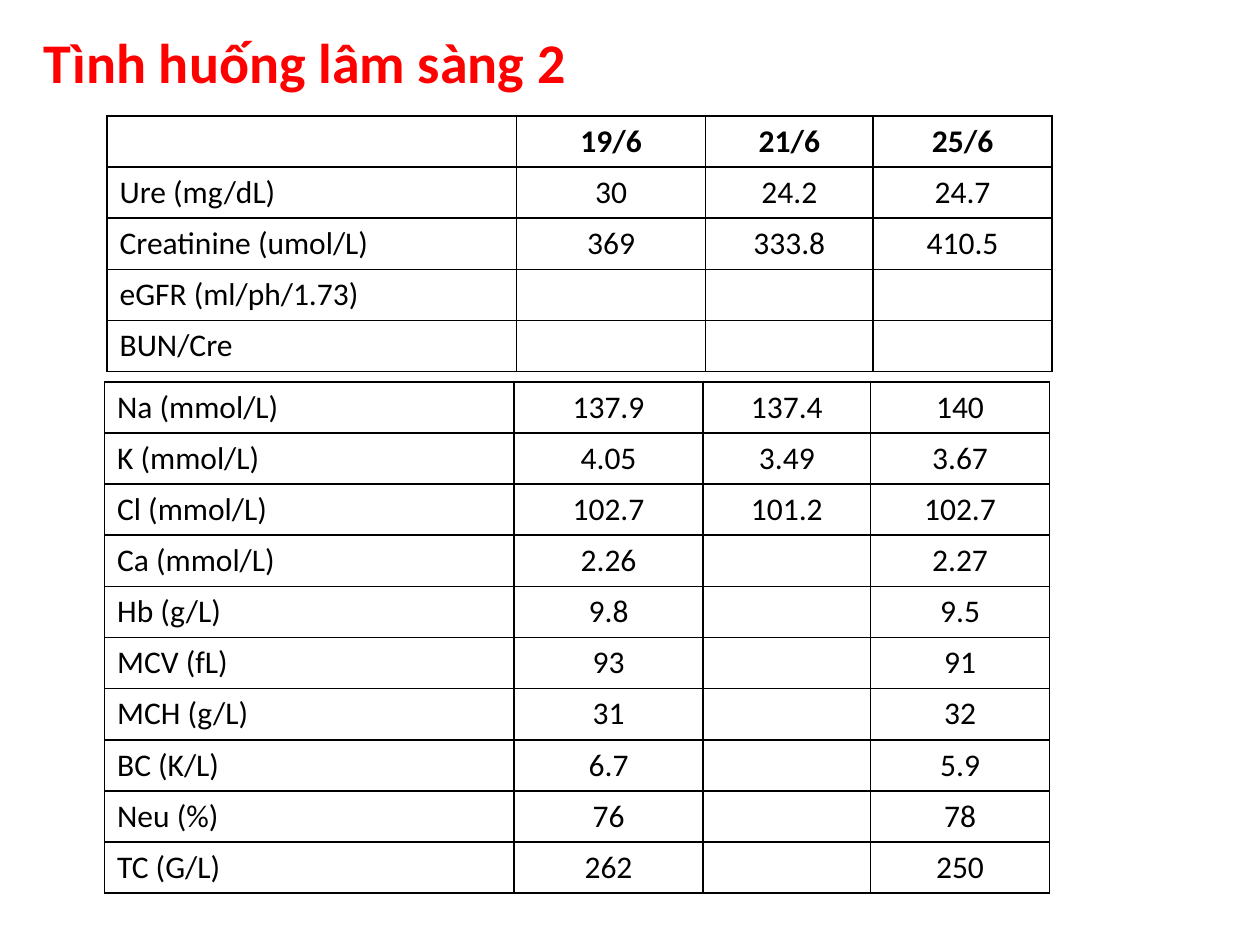
from lxml import etree
from pptx import Presentation, util as u
from pptx.dml.color import RGBColor
from pptx.enum import text
from pptx.oxml.ns import qn

COLORS = {"title": "FF0000", "ink": "000000", "border": "000000"}
TITLE = "Tình huống lâm sàng 2"
KIDNEY = [
    ("", "19/6", "21/6", "25/6"),
    ("Ure (mg/dL)", "30", "24.2", "24.7"),
    ("Creatinine (umol/L)", "369", "333.8", "410.5"),
    ("eGFR (ml/ph/1.73)", "", "", ""),
    ("BUN/Cre", "", "", ""),
]
BLOOD = [
    ("Na (mmol/L)", "137.9", "137.4", "140"),
    ("K (mmol/L)", "4.05", "3.49", "3.67"),
    ("Cl (mmol/L)", "102.7", "101.2", "102.7"),
    ("Ca (mmol/L)", "2.26", "", "2.27"),
    ("Hb (g/L)", "9.8", "", "9.5"),
    ("MCV (fL)", "93", "", "91"),
    ("MCH (g/L)", "31", "", "32"),
    ("BC (K/L)", "6.7", "", "5.9"),
    ("Neu (%)", "76", "", "78"),
    ("TC (G/L)", "262", "", "250"),
]
TABLES = [
    {"rows": KIDNEY, "at": (0.85, 0.92, 7.5, 2.03), "header": True},
    {"rows": BLOOD, "at": (0.83, 3.03, 7.5, 4.06), "header": False},
]
COLUMNS = (3.25, 1.5, 1.33, 1.42)
TITLE_FONT = {"name": "Calibri", "size": u.Pt(32), "bold": True}
CELL_FONT = {"name": "Calibri", "size": u.Pt(18), "bold": False}


def write(para, wording, style, color):
    span = para.add_run()
    span.text = wording
    for key, value in style.items():
        setattr(span.font, key, value)
    span.font.color.rgb = RGBColor.from_string(COLORS[color])


def add_borders(cell):
    properties = cell._tc.get_or_add_tcPr()
    for side in ("lnL", "lnR", "lnT", "lnB"):
        line = etree.SubElement(properties, qn(f"a:{side}"), w=str(u.Pt(1)))
        fill = etree.SubElement(line, qn("a:solidFill"))
        etree.SubElement(fill, qn("a:srgbClr"), val=COLORS["border"])


def add_results(page, rows, at, header):
    frame = page.shapes.add_table(len(rows), len(COLUMNS), *map(u.Inches, at))
    table = frame.table
    table.first_row = header
    table.horz_banding = False
    for column, width in zip(table.columns, COLUMNS):
        column.width = u.Inches(width)
    for r, row in enumerate(rows):
        style = {**CELL_FONT, "bold": header and r == 0}
        for c, wording in enumerate(row):
            cell = table.cell(r, c)
            add_borders(cell)
            cell.fill.background()
            para = cell.text_frame.paragraphs[0]
            para.alignment = text.PP_ALIGN.CENTER if c else text.PP_ALIGN.LEFT
            if wording:
                write(para, wording, style, "ink")


def main():
    deck = Presentation()
    deck.slide_width, deck.slide_height = u.Inches(10), u.Inches(7.5)
    page = deck.slides.add_slide(deck.slide_layouts[6])
    box = page.shapes.add_textbox(*map(u.Inches, (0.25, 0.17, 8.08, 0.64)))
    box.text_frame.word_wrap = True
    box.text_frame.auto_size = text.MSO_AUTO_SIZE.SHAPE_TO_FIT_TEXT
    write(box.text_frame.paragraphs[0], TITLE, TITLE_FONT, "title")
    for results in TABLES:
        add_results(page, **results)
    deck.save("out.pptx")


if __name__ == "__main__":
    main()
